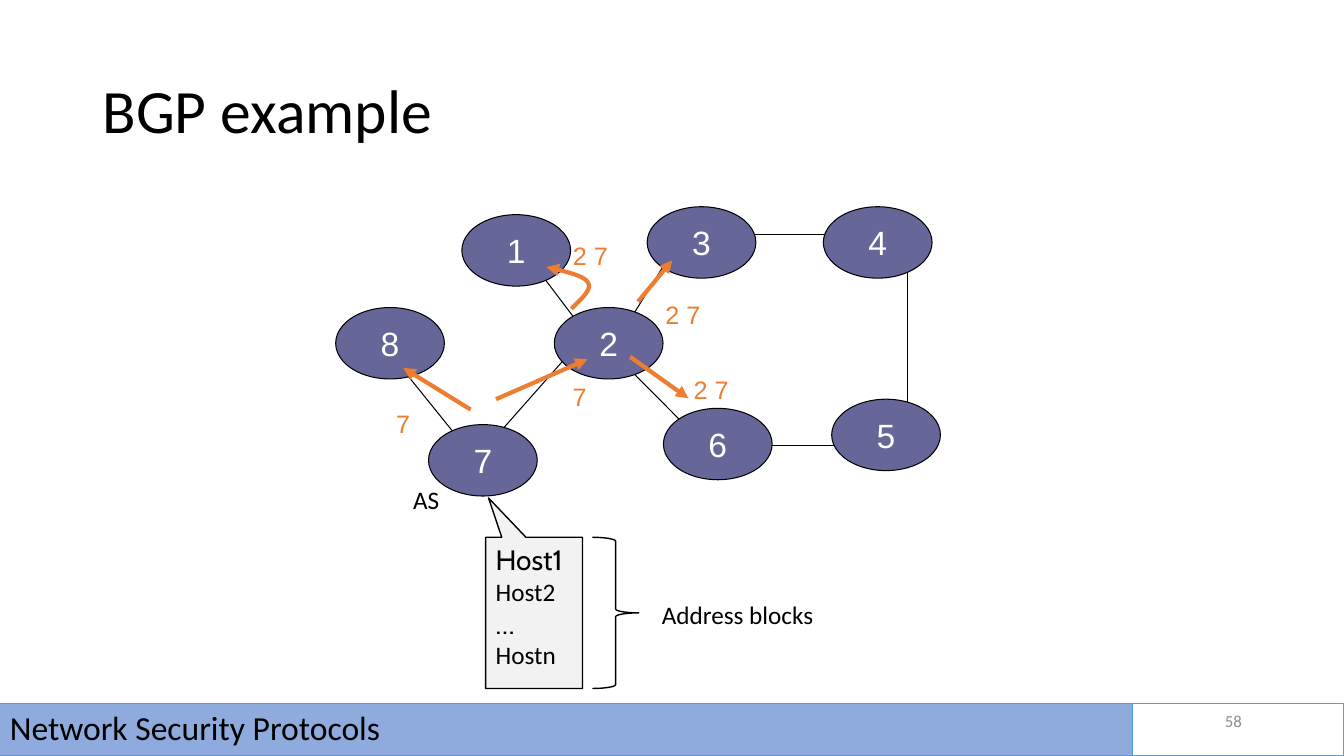
from dataclasses import dataclass

from lxml import etree
from pptx import Presentation
from pptx import util as u
from pptx.dml.color import RGBColor
from pptx.enum import shapes, text
from pptx.oxml import ns

Cm, Pt = u.Cm, u.Pt
SHAPE, ALIGN, ANCHOR = shapes.MSO_SHAPE, text.PP_ALIGN, text.MSO_ANCHOR


@dataclass(frozen=True)
class Theme:
    ink: str = "000000"
    node: str = "666699"
    node_text: str = "FFFFFF"
    route: str = "ED7D31"
    callout: str = "F2F2F2"
    footer: str = "8FAADC"
    footer_line: str = "5B9BD5"
    number: str = "8C8C8C"
    body_font: str = "Calibri"
    node_font: str = "Arial"
    host_font: str = "Cabin"
    title_size: int = 44
    large_size: int = 24
    host_size: int = 20
    label_size: int = 18
    number_size: int = 12
    thin: float = 0.75
    outline: float = 1
    arrow: float = 3


THEME = Theme()

NODE_SIZE = (2.74, 1.8)
NODES = {
    "3": (7.85, 0), "4": (12.29, 0), "6": (8.26, 5.08), "5": (12.5, 4.85),
    "7": (2.34, 5.49), "1": (3.18, 0.2), "8": (0, 2.54), "2": (5.51, 2.54),
}
LINKS = [
    (1.7, 4.11, 3.4, 6.22), (5.72, 3.89, 4.04, 5.79),
    (14.4, 1.57, 14.4, 5.16), (7.42, 4.11, 8.89, 5.59),
    (8.48, 1.14, 7.42, 2.84), (5.08, 1.57, 6.35, 3.25),
    (10.39, 0.71, 12.5, 0.71), (10.59, 6.02, 12.93, 6.02),
]
ROUTES = [
    (3.4, 5.11, 1.7, 4.06), (4.04, 4.85, 6.35, 3.84),
    (7.42, 3.78, 8.89, 4.83), (7.62, 2.39, 8.48, 1.35),
]
ROUTE_LABELS = [
    ("7", 5.72, 4.27, 0.86), ("7", 1.27, 4.95, 0.86), ("2 7", 5.72, 0.71, 1.4),
    ("2 7", 8.05, 2.21, 1.4), ("2 7", 8.76, 4.11, 1.4),
]
CURVED_ROUTE = [
    ((5.94, 2.57), (6.2, 2.31), (6.48, 2.08), (6.35, 1.9)),
    ((6.35, 1.9), (6.25, 1.73), (5.77, 1.63), (5.31, 1.52)),
]
LABEL_HEIGHT = 1.02


def set_values(target, values):
    for name, value in values.items():
        setattr(target, name, value)


def write(shape, lines, wrap=True, anchor=ANCHOR.TOP, **paragraph_format):
    """Fill a shape with lines of (wording, size, font, colour)."""
    frame = shape.text_frame
    set_values(frame, {"word_wrap": wrap, "vertical_anchor": anchor})
    for index, (wording, size, font, colour) in enumerate(lines):
        paragraph = frame.add_paragraph() if index else frame.paragraphs[0]
        set_values(paragraph, {"alignment": ALIGN.LEFT, **paragraph_format})
        run = paragraph.add_run()
        run.text = wording
        set_values(run.font, {"size": Pt(size), "name": font})
        run.font.color.rgb = RGBColor.from_string(colour)


def add_label(slide, box, line, **options):
    label = slide.shapes.add_textbox(*map(Cm, box))
    write(label, [line], **options)


def style(shape, fill, line, width):
    shape.shadow.inherit = False
    if fill:
        shape.fill.solid()
        shape.fill.fore_color.rgb = RGBColor.from_string(fill)
    else:
        shape.fill.background()
    set_line(shape, line, width)


def set_line(shape, colour, width):
    shape.line.color.rgb = RGBColor.from_string(colour)
    shape.line.width = Pt(width)


def add_box(slide, kind, box, fill, line, width):
    shape = slide.shapes.add_shape(kind, *map(Cm, box))
    style(shape, fill, line, width)
    return shape


def add_arrowhead(shape):
    etree.SubElement(shape.line._get_or_add_ln(), ns.qn("a:tailEnd"), type="triangle")


def add_line(slide, ends, colour, width):
    connector = slide.shapes.add_connector(
        shapes.MSO_CONNECTOR.STRAIGHT, *map(Cm, ends))
    set_line(connector, colour, width)
    etree.SubElement(connector._element.spPr, ns.qn("a:effectLst"))
    return connector


def bezier(controls, t):
    weights = ((1 - t) ** 3, 3 * t * (1 - t) ** 2, 3 * t * t * (1 - t), t ** 3)
    return [sum(w * point[axis] for w, point in zip(weights, controls))
            for axis in (0, 1)]


def add_curved_route(slide, left, top, steps=12):
    points = [bezier(controls, step / steps)
              for controls in CURVED_ROUTE for step in range(steps + 1)]
    start, *others = [(Cm(left + x), Cm(top + y)) for x, y in points]
    builder = slide.shapes.build_freeform(*start)
    builder.add_line_segments(others, close=False)
    curve = builder.convert_to_shape()
    style(curve, None, THEME.route, THEME.arrow)
    add_arrowhead(curve)


def add_network(slide, left, top):
    def shifted(ends):
        return [value + (left, top)[index % 2] for index, value in enumerate(ends)]

    for ends in LINKS:
        add_line(slide, shifted(ends), THEME.ink, THEME.thin)
    for name, corner in NODES.items():
        node = add_box(slide, SHAPE.OVAL, (*shifted(corner), *NODE_SIZE),
                       THEME.node, THEME.ink, THEME.thin)
        write(node, [(name, THEME.large_size, THEME.node_font, THEME.node_text)],
              anchor=ANCHOR.MIDDLE, alignment=ALIGN.CENTER)
    for wording, x, y, width in ROUTE_LABELS:
        add_label(slide, (left + x, top + y, width, LABEL_HEIGHT),
                  (wording, THEME.label_size, THEME.node_font, THEME.route),
                  wrap=False, alignment=ALIGN.CENTER)
    for ends in ROUTES:
        add_arrowhead(add_line(slide, shifted(ends), THEME.route, THEME.arrow))
    add_curved_route(slide, left, top)
    add_label(slide, (left + 1.7, top + 6.86, 1.17, LABEL_HEIGHT),
              ("AS", THEME.label_size, THEME.body_font, THEME.ink), wrap=False)


def add_hosts(slide, left, top, width, height):
    """Host callout with a brace that names its address blocks."""
    callout = add_box(slide, SHAPE.RECTANGULAR_CALLOUT, (left, top, width, height),
                      THEME.callout, THEME.ink, THEME.outline)
    callout.adjustments[0], callout.adjustments[1] = -0.47, -0.76
    large = (THEME.host_size, THEME.host_font, THEME.ink)
    small = (THEME.label_size, THEME.body_font, THEME.ink)
    write(callout, [("Host1", *large), ("Host2", *small),
                    ("…", *large), ("Hostn", *small)], wrap=False)
    add_box(slide, SHAPE.RIGHT_BRACE, (left + width + 0.25, top, 1.17, height),
            None, THEME.ink, THEME.outline)
    add_label(slide, (left + width + 1.75, top + 1.45, 4.37, LABEL_HEIGHT),
              ("Address blocks", *small), wrap=False)


def add_footer(slide, left, top, width, height):
    bar_width = 28.55
    bar = add_box(slide, SHAPE.RECTANGLE, (left, top, bar_width, height),
                  THEME.footer, THEME.footer_line, THEME.thin)
    write(bar, [("Network Security Protocols", THEME.large_size, THEME.body_font,
                 THEME.ink)], anchor=ANCHOR.MIDDLE, line_spacing=0.9)
    add_box(slide, SHAPE.RECTANGLE,
            (left + bar_width, top, width - bar_width, height),
            None, THEME.footer_line, THEME.thin)
    add_label(slide, (left + 23.93, top - 0.08, 7.62, LABEL_HEIGHT),
              ("58", THEME.number_size, THEME.body_font, THEME.number),
              anchor=ANCHOR.MIDDLE, alignment=ALIGN.RIGHT)


def main():
    presentation = Presentation()
    set_values(presentation, {"slide_width": Cm(33.87), "slide_height": Cm(19.05)})
    slide = presentation.slides.add_slide(presentation.slide_layouts[6])
    add_label(slide, (2.34, 1.02, 29.21, 3.68),
              ("BGP example", THEME.title_size, THEME.body_font, THEME.ink),
              anchor=ANCHOR.MIDDLE, line_spacing=0.9)
    add_network(slide, 8.46, 5.21)
    add_hosts(slide, 12.24, 13.54, 2.44, 3.81)
    add_footer(slide, 0, 17.73, 33.87, 1.32)
    presentation.save("out.pptx")


if __name__ == "__main__":
    main()
